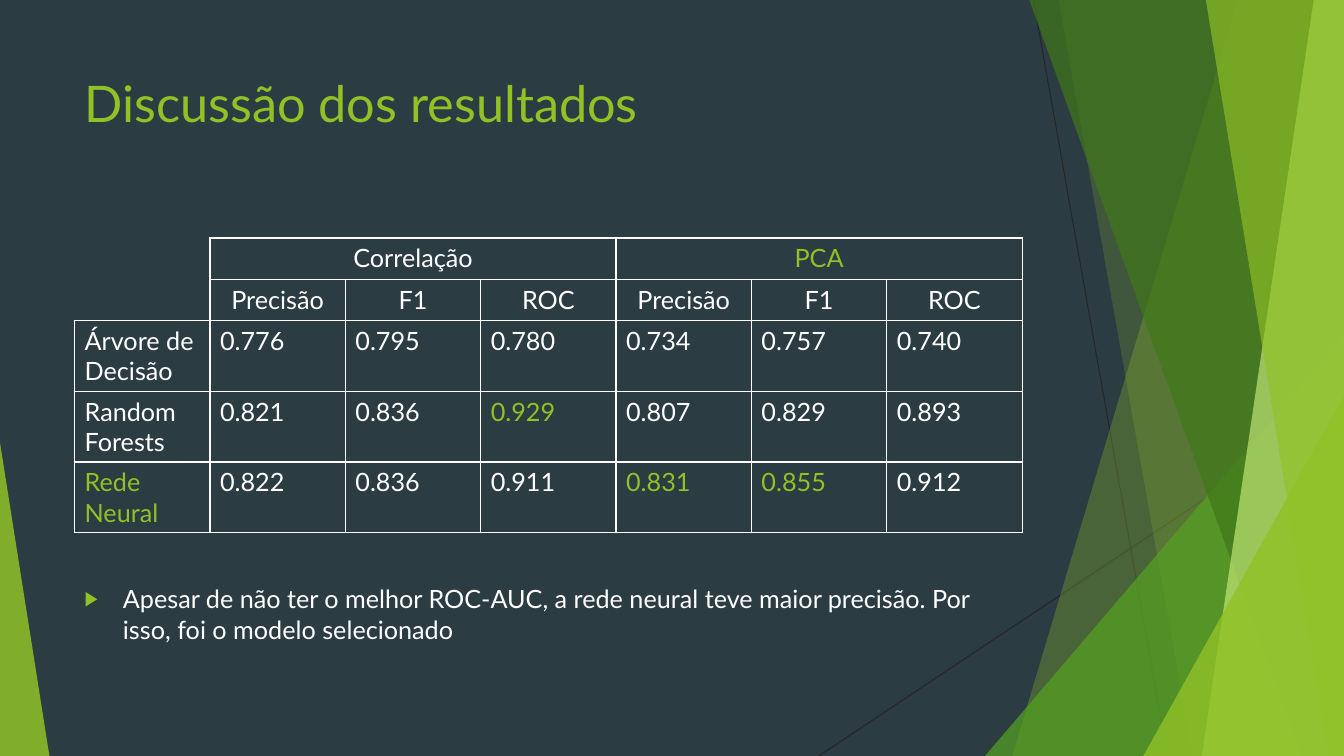
from lxml import etree
from pptx import Presentation
from pptx.dml.color import RGBColor
from pptx.enum.shapes import MSO_CONNECTOR, MSO_SHAPE
from pptx.enum.text import MSO_ANCHOR, MSO_AUTO_SIZE, PP_ALIGN
from pptx.oxml.ns import qn
from pptx.util import Inches, Pt

LINE, TRI = MSO_CONNECTOR.STRAIGHT, MSO_SHAPE.ISOSCELES_TRIANGLE
TOP, NO_FIT = MSO_ANCHOR.TOP, MSO_AUTO_SIZE.NONE
LEFT, CENTER = PP_ALIGN.LEFT, PP_ALIGN.CENTER
WIDE, HIGH = Inches(13.33), Inches(7.5)
FONT, GREEN, WHITE = "Lato", "90C226", "FFFFFF"
MARGIN, SPAN = 5.55, 70.52  # content column, in % of the slide's width

RAYS = [((76.9, 0), (86.87, 100)), ((100, 53.73), (60.92, 100))]
# Bands reach the right edge: x at the top, x at the bottom, colour, opacity
BACK_BANDS = [(92.12, 75.32, GREEN, 30), (78.77, 88.75, GREEN, 20)]
FRONT_BANDS = [(76.59, 96.85, "3F7819", 70), (97.75, 89.42, "C0E474", 70),
               (89.72, 98.87, GREEN, 65)]
METRICS = ["Precisão", "F1", "ROC"]
SCORES = [
    ["Árvore de Decisão", "0.776", "0.795", "0.780", "0.734", "0.757", "0.740"],
    ["Random Forests", "0.821", "0.836", "0.929", "0.807", "0.829", "0.893"],
    ["Rede Neural", "0.822", "0.836", "0.911", "0.831", "0.855", "0.912"],
]
BEST = {"PCA", "Rede Neural", "0.929", "0.831", "0.855"}


def across(pct):
    return round(WIDE * pct / 100)


def down(pct):
    return round(HIGH * pct / 100)


def box(left, top, width, height):
    return across(left), down(top), across(width), down(height)


def rgb(code):
    return RGBColor.from_string(code)


def style(para, size, color, align=LEFT):
    para.alignment = align
    for run in para.runs:
        run.font.name, run.font.size = FONT, Pt(size)
        run.font.color.rgb = rgb(color)


def paint(shape, color, alpha):
    shape.shadow.inherit = False
    shape.line.fill.background()
    shape.fill.solid()
    shape.fill.fore_color.rgb = rgb(color)
    tone = shape._element.spPr.find(f"{qn('a:solidFill')}/{qn('a:srgbClr')}")
    etree.SubElement(tone, qn("a:alpha"), val=str(alpha * 1000))


def ray(shapes, start, end):
    line = shapes.add_connector(LINE, across(start[0]), down(start[1]),
                                across(end[0]), down(end[1]))
    line.line.color.rgb = rgb("262626")
    line.line.width = Pt(0.75)
    etree.SubElement(line._element.spPr, qn("a:effectLst"))


def band(shapes, top, foot, color, alpha):
    path = shapes.build_freeform(across(top), 0)
    path.add_line_segments([(WIDE, 0), (WIDE, HIGH), (across(foot), HIGH)])
    paint(path.convert_to_shape(), color, alpha)


def wedge(shapes, left, top, width, peak, color, alpha):
    """Triangle standing on the slide's foot, its peak at 0 (left) to 1 (right)."""
    shape = shapes.add_shape(TRI, *box(left, top, width, 100 - top))
    shape.adjustments[0] = peak
    paint(shape, color, alpha)


def decor(shapes):
    for start, end in RAYS:
        ray(shapes, start, end)
    for item in BACK_BANDS:
        band(shapes, *item)
    wedge(shapes, 73.29, 44.4, 26.71, 1, "54A021", 72)
    for item in FRONT_BANDS:
        band(shapes, *item)
    wedge(shapes, 85.07, 52.4, 14.93, 1, GREEN, 80)
    wedge(shapes, 0, 58.53, 3.68, 0, GREEN, 85)


def fill_text(holder, place, text, size, color):
    holder.left, holder.top, holder.width, holder.height = place
    frame = holder.text_frame
    frame.text = text
    frame.auto_size, frame.vertical_anchor = NO_FIT, TOP
    para = frame.paragraphs[0]
    style(para, size, color)
    return para


def bullet(para):
    para.space_before = Pt(10)
    props = para._p.get_or_add_pPr()
    props.set("marL", str(Inches(0.38)))
    props.set("indent", str(-Inches(0.38)))
    tint = etree.SubElement(props, qn("a:buClr"))
    etree.SubElement(tint, qn("a:srgbClr"), val=GREEN)
    etree.SubElement(props, qn("a:buSzPct"), val="80000")
    etree.SubElement(props, qn("a:buChar"), char="▶")


def border(cell, sides):
    """Draw white lines on the given sides (of LRTB) and none on the rest."""
    props = cell._tc.get_or_add_tcPr()
    for spot, side in enumerate("LRTB"):
        edge = etree.Element(qn(f"a:ln{side}"), w=str(Pt(1)))
        if side in sides:
            solid = etree.SubElement(edge, qn("a:solidFill"))
            etree.SubElement(solid, qn("a:srgbClr"), val=WHITE)
        else:
            etree.SubElement(edge, qn("a:noFill"))
        props.insert(spot, edge)


def score_table(shapes):
    rows = [["", "Correlação", "", "", "PCA", "", ""], [""] + METRICS * 2] + SCORES
    heights = [5.47] * 2 + [9.35] * len(SCORES)
    count = len(rows[0])
    table = shapes.add_table(len(rows), count,
                             *box(MARGIN, 31.47, SPAN, sum(heights))).table
    table.first_row = table.horz_banding = False
    for col in table.columns:
        col.width = across(SPAN / count)
    for r, row in enumerate(rows):
        table.rows[r].height = down(heights[r])
        for c, text in enumerate(row):
            cell = table.cell(r, c)
            cell.text = text
            cell.fill.background()
            style(cell.text_frame.paragraphs[0], 18,
                  GREEN if text in BEST else WHITE, CENTER if r < 2 else LEFT)
            corner = ["R", "RB"][r] if c == 0 and r < 2 else "LRTB"
            border(cell, corner)
    for first in (1, 4):
        table.cell(0, first).merge(table.cell(0, first + 2))


def main():
    deck = Presentation()
    deck.slide_width, deck.slide_height = WIDE, HIGH
    slide = deck.slides.add_slide(deck.slide_layouts[1])
    slide.background.fill.solid()
    slide.background.fill.fore_color.rgb = rgb("2C3C43")
    decor(slide.shapes)
    fill_text(slide.shapes.title, box(MARGIN, 8.93, SPAN, 19.2),
              "Discussão dos resultados", 36, GREEN)
    note = fill_text(slide.placeholders[1], box(MARGIN, 76.53, SPAN, 11.47),
                     "Apesar de não ter o melhor ROC-AUC, a rede neural teve maior "
                     "precisão. Por isso, foi o modelo selecionado", 18, WHITE)
    bullet(note)
    score_table(slide.shapes)
    deck.save("out.pptx")


if __name__ == "__main__":
    main()
